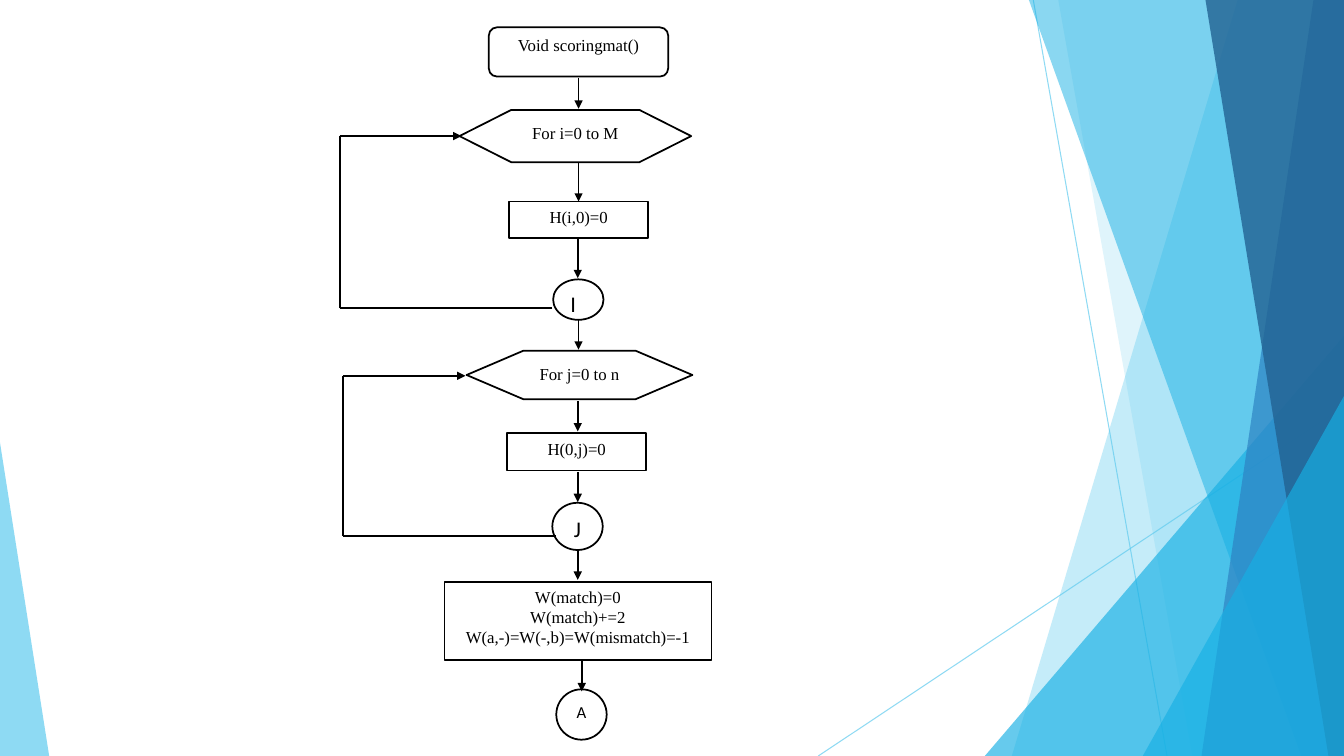
from pptx import Presentation
from pptx.dml.color import RGBColor
from pptx.enum.shapes import MSO_CONNECTOR as CONN, MSO_SHAPE as SHAPE
from pptx.enum.text import MSO_ANCHOR as ANCHOR, PP_ALIGN as ALIGN
from pptx.oxml.ns import qn
from pptx.util import Cm, Pt
from lxml.etree import SubElement

WIDTH, HEIGHT = 33.87, 19.05
COLORS = {"ink": "000000", "paper": "FFFFFF", "sky": "5FCBEF",
          "cyan": "17B0E4", "blue": "2E83C3", "navy": "226292"}
SERIF, SANS = "Times New Roman", "Calibri"


def rgb(name):
    """Return the palette colour called name."""
    return RGBColor.from_string(COLORS[name])


def set_opacity(sp, percent):
    """Make the first colour of a shape or line partly transparent."""
    clr = next(sp._element.spPr.iter(qn("a:srgbClr")))
    SubElement(clr, qn("a:alpha")).set("val", str(percent * 1000))


def tint(sp, color, percent):
    """Give a decoration a translucent fill and no outline."""
    sp.shadow.inherit = False
    sp.fill.solid()
    sp.fill.fore_color.rgb = rgb(color)
    sp.line.fill.background()
    set_opacity(sp, percent)


def add_facet(slide, top_x, bottom_x, color, percent):
    """Fill the area from a slanted edge to the right side of the slide."""
    builder = slide.shapes.build_freeform(Cm(top_x), 0)
    builder.add_line_segments([(Cm(WIDTH), 0), (Cm(WIDTH), Cm(HEIGHT)),
                               (Cm(bottom_x), Cm(HEIGHT))], close=True)
    tint(builder.convert_to_shape(), color, percent)


def add_wedge(slide, left, top, right, apex, color, percent):
    """Draw a right-angled triangle standing on the bottom edge."""
    sp = slide.shapes.add_shape(SHAPE.ISOSCELES_TRIANGLE, Cm(left), Cm(top),
                                Cm(right - left), Cm(HEIGHT - top))
    sp.adjustments[0] = apex
    tint(sp, color, percent)


def add_line(slide, x1, y1, x2, y2, color="ink", width=1.25, arrow=False):
    """Draw a straight line, with an arrowhead at its end if asked."""
    line = slide.shapes.add_connector(CONN.STRAIGHT, Cm(x1), Cm(y1), Cm(x2), Cm(y2))
    line.line.color.rgb = rgb(color)
    line.line.width = Pt(width)
    spPr = line._element.spPr
    if arrow:
        SubElement(spPr.find(qn("a:ln")), qn("a:tailEnd")).set("type", "triangle")
    SubElement(spPr, qn("a:effectLst"))
    return line


def add_node(slide, kind, box, text, font=SERIF, size=12, align=ALIGN.CENTER, adj=None):
    """Add one outlined flowchart symbol with its text."""
    sp = slide.shapes.add_shape(kind, *map(Cm, box))
    sp.shadow.inherit = False
    sp.fill.solid()
    sp.fill.fore_color.rgb = rgb("paper")
    sp.line.color.rgb = rgb("ink")
    sp.line.width = Pt(1.25)
    if adj is not None:
        sp.adjustments[0] = adj
    tf = sp.text_frame
    tf.text = text
    tf.word_wrap = True
    tf.vertical_anchor = ANCHOR.TOP
    for p in tf.paragraphs:
        p.alignment = align
        for r in p.runs:
            r.font.name = font
            r.font.size = Pt(size)
            r.font.color.rgb = rgb("ink")


def add_loop(slide, left, top, bottom, head, foot):
    """Draw the return path of a loop from its foot to its head."""
    add_line(slide, foot, bottom, left, bottom)
    add_line(slide, left, bottom, left, top)
    add_line(slide, left, top, head, top, arrow=True)


def add_backdrop(slide):
    """Draw the blue facets along the slide edges."""
    for ends in ((26.04, 0, 29.41, HEIGHT), (WIDTH, 10.24, 20.62, HEIGHT)):
        set_opacity(add_line(slide, *ends, color="sky", width=0.75), 70)
    add_facet(slide, 31.19, 25.5, "sky", 36)
    add_facet(slide, 26.67, 30.05, "sky", 20)
    add_wedge(slide, 24.82, 8.46, WIDTH, 1, "cyan", 66)
    add_facet(slide, 25.93, 32.79, "cyan", 50)
    add_facet(slide, 33.1, 30.28, "blue", 70)
    add_facet(slide, 30.38, 33.48, "navy", 80)
    add_wedge(slide, 28.8, 9.98, WIDTH, 1, "cyan", 66)
    add_wedge(slide, 0, 11.15, 1.24, 0, "sky", 70)


def add_flowchart(slide):
    """Draw the symbols, the downward arrows and the two loops."""
    add_node(slide, SHAPE.ROUNDED_RECTANGLE, (12.32, 0.69, 4.52, 1.24),
             "Void scoringmat()")
    add_node(slide, SHAPE.HEXAGON, (11.58, 2.77, 5.84, 1.32), "For i=0 to M", adj=0.99)
    add_node(slide, SHAPE.FLOWCHART_PROCESS, (12.83, 5.08, 3.51, 0.91), "H(i,0)=0")
    add_node(slide, SHAPE.FLOWCHART_CONNECTOR, (13.94, 7.04, 1.27, 1.02), "I",
             SANS, 16, ALIGN.LEFT)
    add_node(slide, SHAPE.HEXAGON, (11.76, 8.84, 5.69, 1.22), "For j=0 to n", adj=1.17)
    add_node(slide, SHAPE.FLOWCHART_PROCESS, (12.78, 10.92, 3.51, 0.94), "H(0,j)=0")
    add_node(slide, SHAPE.FLOWCHART_CONNECTOR, (13.92, 12.67, 1.27, 1.19), "J", SANS, 16)
    add_node(slide, SHAPE.FLOWCHART_PROCESS, (11.2, 14.66, 6.73, 1.98),
             "W(match)=0\nW(match)+=2\nW(a,-)=W(-,b)=W(mismatch)=-1")
    add_node(slide, SHAPE.FLOWCHART_CONNECTOR, (14.02, 17.37, 1.27, 1.27), "A", SANS)

    for x, top, bottom in ((14.58, 1.96, 2.74), (14.58, 4.09, 5.08),
                           (14.56, 6.02, 7.01), (14.58, 8.05, 8.81),
                           (14.56, 10.11, 10.87), (14.56, 11.89, 12.65),
                           (14.56, 13.84, 14.61), (14.66, 16.64, 17.42)):
        add_line(slide, x, top, x, bottom, arrow=True)
    add_loop(slide, 8.56, 3.43, 7.77, 11.63, 13.92)
    add_loop(slide, 8.64, 9.47, 13.51, 11.73, 14)


def main():
    """Build the flowchart slide and save it."""
    prs = Presentation()
    prs.slide_width, prs.slide_height = Cm(WIDTH), Cm(HEIGHT)
    slide = prs.slides.add_slide(prs.slide_layouts[6])
    add_backdrop(slide)
    add_flowchart(slide)
    prs.save("out.pptx")


if __name__ == "__main__":
    main()
